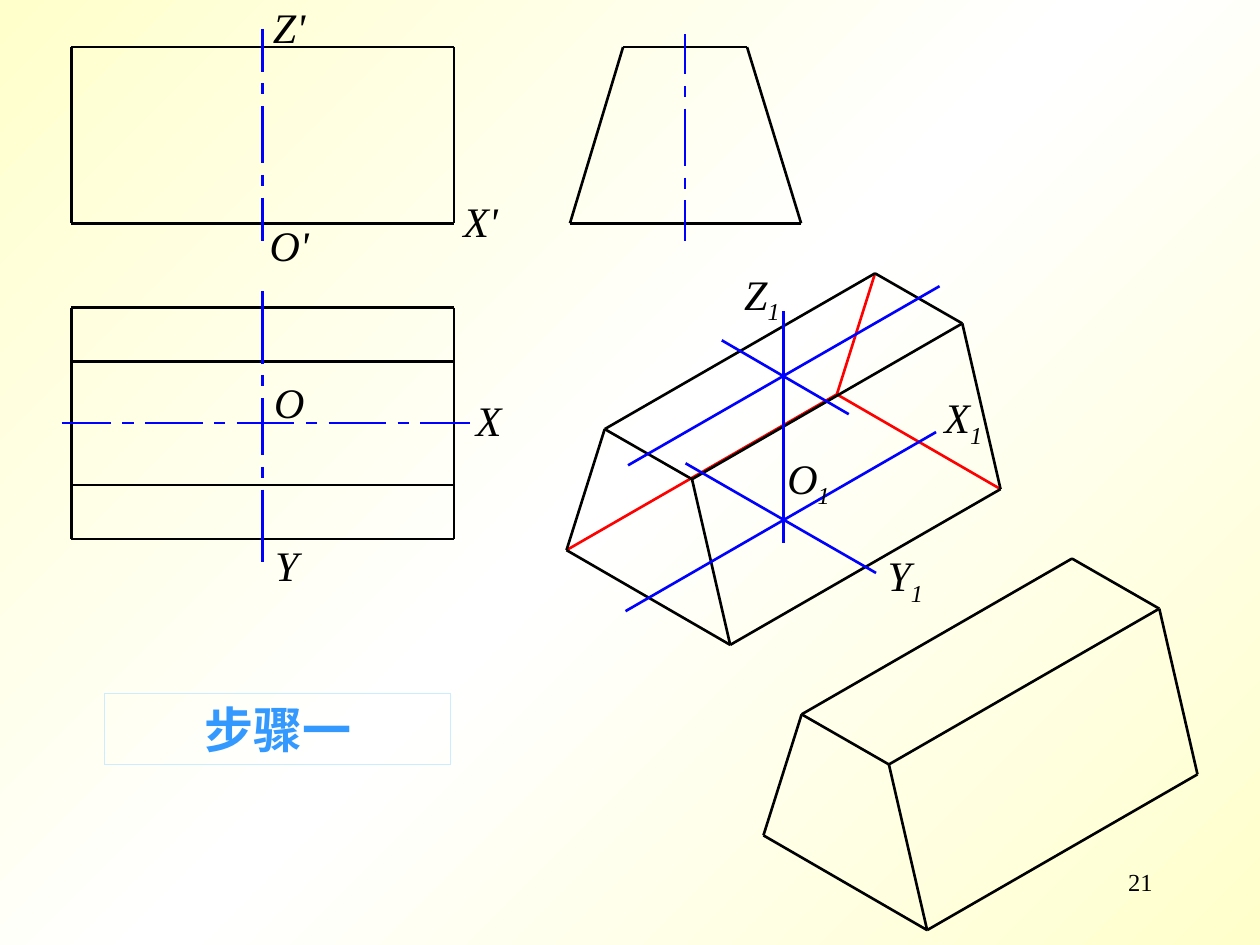
from copy import deepcopy

from lxml import etree
from pptx import Presentation
from pptx.dml.color import RGBColor
from pptx.enum.shapes import MSO_CONNECTOR
from pptx.enum.text import MSO_ANCHOR, MSO_AUTO_SIZE, PP_ALIGN
from pptx.oxml.ns import qn
from pptx.util import Cm, Pt

STRAIGHT = MSO_CONNECTOR.STRAIGHT
TOP, MIDDLE = MSO_ANCHOR.TOP, MSO_ANCHOR.MIDDLE
CENTER, RIGHT = PP_ALIGN.CENTER, PP_ALIGN.RIGHT
NO_FIT = MSO_AUTO_SIZE.NONE

FONT = "Times New Roman"
COLORS = {
    "edge": "000000",
    "axis": "0000FF",
    "hidden": "FF0000",
    "heading": "3399FF",
    "frame": "CCECFF",
    "cream": "FFFFCC",
    "white": "FFFFFF",
}

deck = Presentation()
deck.slide_width, deck.slide_height = Cm(25.4), Cm(19.05)
page = deck.slides.add_slide(deck.slide_layouts[5])


def draw_line(start, end, color="edge"):
    line = page.shapes.add_connector(
        STRAIGHT, *(Cm(value) for value in (*start, *end))
    )
    line.line.color.rgb = RGBColor.from_string(COLORS[color])
    line.line.width = Pt(1.5)
    etree.SubElement(line.element.spPr, qn("a:effectLst"))


def write_text(box, texts, size, color="edge", align=CENTER, anchor=MIDDLE,
               bold=False, italic=False):
    frame = box.text_frame
    frame.word_wrap = True
    frame.auto_size = NO_FIT
    frame.vertical_anchor = anchor
    para = frame.paragraphs[0]
    para.alignment = align
    for text in texts:
        span = para.add_run()
        span.text = text
        span.font.name = FONT
        span.font.size = Pt(size)
        span.font.bold = bold
        span.font.italic = italic
        span.font.color.rgb = RGBColor.from_string(COLORS[color])
    return para


backdrop = page.background.fill
backdrop.gradient()
backdrop.gradient_angle = 315
stop_list = page.element.find(".//" + qn("a:gsLst"))
stop_list.append(deepcopy(stop_list[0]))
for stop, position, color in zip(
    backdrop.gradient_stops, (0, 0.5, 1), ("cream", "white", "cream")
):
    stop.position = position
    stop.color.rgb = RGBColor.from_string(COLORS[color])

number = page.shapes.add_textbox(Cm(18.21), Cm(17.35), Cm(5.28), Cm(1.27))
write_text(number, ["21"], 14, align=RIGHT, anchor=TOP)

corners = {
    "base left": (11.42, 11.09),
    "base front": (14.72, 13),
    "base right": (20.17, 9.86),
    "base back": (16.87, 7.95),
    "top left": (12.19, 8.65),
    "top front": (13.95, 9.66),
    "top right": (19.4, 6.52),
    "top back": (17.64, 5.51),
}
hidden_ends = ("base left", "top back", "base right")
visible_edges = [
    ("top front", "base front"),
    ("top left", "base left"),
    ("base left", "base front"),
    ("base front", "base right"),
    ("top right", "base right"),
    ("top left", "top front"),
    ("top left", "top back"),
    ("top back", "top right"),
    ("top front", "top right"),
]
for end in hidden_ends:
    draw_line(corners["base back"], corners[end], "hidden")
for shift_x, shift_y in ((3.97, 5.75), (0, 0)):
    for edge in visible_edges:
        start, end = (
            (corners[name][0] + shift_x, corners[name][1] + shift_y) for name in edge
        )
        draw_line(start, end)

LEFT, RIGHT_SIDE = 1.44, 9.15
ROOF, GROUND = 0.95, 4.5
plan_rows = (6.2, 7.29, 9.78, 10.87)
for y in (ROOF, GROUND, *plan_rows):
    draw_line((LEFT, y), (RIGHT_SIDE, y))
for x in (LEFT, RIGHT_SIDE):
    draw_line((x, ROOF), (x, GROUND))
    for upper, lower in zip(plan_rows, plan_rows[1:]):
        draw_line((x, upper), (x, lower))

side_view = [(12.56, ROOF), (15.06, ROOF), (16.15, GROUND), (11.49, GROUND)]
for start, end in zip(side_view, side_view[1:] + side_view[:1]):
    draw_line(start, end)

DASH, DOT = 1.16, 0.23
center_lines = [
    ("vertical", 5.29, 5.87, 11.33, 1),
    ("horizontal", 8.53, 1.24, 9.47, 3),
    ("vertical", 5.29, 0.58, 4.85, 1),
    ("vertical", 13.81, 0.69, 4.85, 1),
]
for direction, level, first, last, dashes in center_lines:
    end_dash = (last - first - dashes * DASH - (dashes + 1) * 3 * DOT) / 2
    strokes = [end_dash, DOT] + [DASH, DOT] * dashes + [end_dash]
    place = first
    for stroke in strokes:
        span_ends = (place, place + stroke)
        if direction == "vertical":
            start, end = ((level, value) for value in span_ends)
        else:
            start, end = ((value, level) for value in span_ends)
        draw_line(start, end, "axis")
        place += stroke + DOT

solid_axes = [
    ((12.66, 9.38), (18.94, 5.77)),
    ((14.55, 6.86), (17.11, 8.35)),
    ((12.61, 12.32), (18.87, 8.71)),
    ((13.82, 9.34), (17.66, 11.55)),
    ((15.79, 6.27), (15.79, 10.94)),
]
for start, end in solid_axes:
    draw_line(start, end, "axis")

heading = page.shapes.title
heading.left, heading.top = Cm(2.11), Cm(13.97)
heading.width, heading.height = Cm(6.98), Cm(1.45)
heading.line.color.rgb = RGBColor.from_string(COLORS["frame"])
heading.line.width = Pt(0)
write_text(heading, ["步骤一"], 28, "heading", bold=True)

labels = [
    ("X", "", 8.26, 7.82),
    ("X'", "", 8.1, 3.81),
    ("O'", "", 4.24, 4.29),
    ("Z'", "", 4.24, -0.1),
    ("Y", "", 4.19, 10.74),
    ("O", "", 4.24, 7.47),
    ("X", "1", 17.83, 7.77),
    ("Z", "1", 13.77, 5.28),
    ("Y", "1", 16.66, 10.95),
    ("O", "1", 14.71, 8.99),
]
for letter, index, left, top in labels:
    height = 1.42 if index else 1.27
    box = page.shapes.add_textbox(Cm(left), Cm(top), Cm(3.18), Cm(height))
    texts = [letter, index] if index else [letter]
    para = write_text(box, texts, 24, italic=True)
    for span in para.runs[1:]:
        span.font._element.set("baseline", "-25000")

deck.save("out.pptx")
